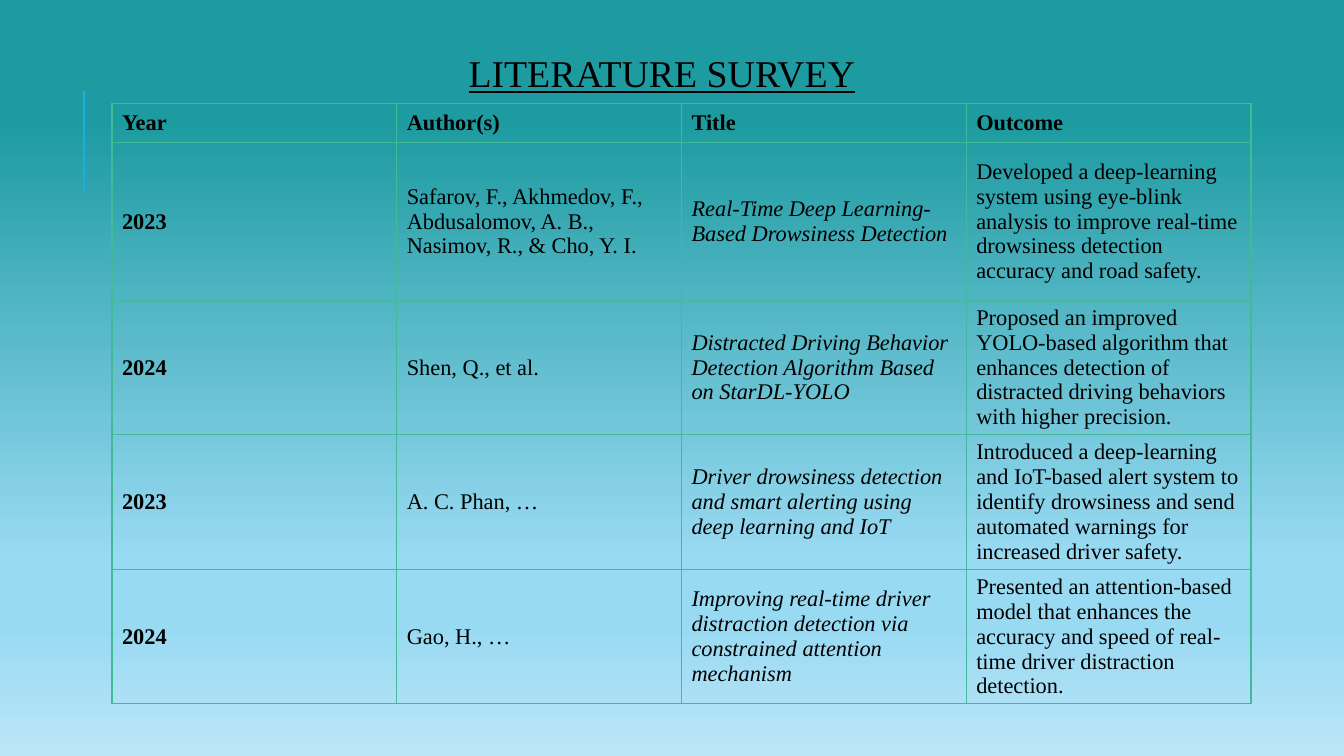
from dataclasses import astuple, dataclass

from lxml.etree import SubElement
from pptx import Presentation
from pptx.dml.color import RGBColor
from pptx.enum.shapes import MSO_CONNECTOR
from pptx.enum.text import MSO_ANCHOR, MSO_AUTO_SIZE, PP_ALIGN
from pptx.oxml.ns import qn
from pptx.slide import Slide
from pptx.table import _Cell as Cell
from pptx.text.text import _Paragraph as Paragraph
from pptx.util import Pt

BLACK = RGBColor(0x00, 0x00, 0x00)
GREEN = RGBColor(0x42, 0xBA, 0x97)
BLUE = RGBColor(0x1C, 0xAD, 0xE4)
TEAL = RGBColor(0x1D, 0x9B, 0xA1)
SKY = RGBColor(0x99, 0xDA, 0xF3)
PALE = RGBColor(0xBB, 0xE6, 0xF7)
FONT = "Times New Roman"


@dataclass(frozen=True)
class Study:
    year: str
    authors: str
    title: str
    outcome: str


@dataclass(frozen=True)
class Stop:
    percent: int
    color: RGBColor


BACKDROP = [Stop(16, TEAL), Stop(74, SKY), Stop(83, SKY), Stop(100, PALE)]
HEADINGS = Study("Year", "Author(s)", "Title", "Outcome")
STUDIES = [
    Study(
        "2023",
        "Safarov, F., Akhmedov, F., Abdusalomov, A. B., Nasimov, R., & Cho, Y. I.",
        "Real-Time Deep Learning-Based Drowsiness Detection",
        "Developed a deep-learning system using eye-blink analysis to improve "
        "real-time drowsiness detection accuracy and road safety.",
    ),
    Study(
        "2024",
        "Shen, Q., et al.",
        "Distracted Driving Behavior Detection Algorithm Based on StarDL-YOLO",
        "Proposed an improved YOLO-based algorithm that enhances detection of "
        "distracted driving behaviors with higher precision.",
    ),
    Study(
        "2023",
        "A. C. Phan, …",
        "Driver drowsiness detection and smart alerting using deep learning and IoT",
        "Introduced a deep-learning and IoT-based alert system to identify "
        "drowsiness and send automated warnings for increased driver safety.",
    ),
    Study(
        "2024",
        "Gao, H., …",
        "Improving real-time driver distraction detection via constrained attention mechanism",
        "Presented an attention-based model that enhances the accuracy and speed "
        "of real-time driver distraction detection.",
    ),
]
COLUMN_WIDTH = 203.4
ROW_HEIGHTS = [28, 112.5, 95.5, 95.5, 95.5]


def write(para: Paragraph, text: str, *, size: float, bold: bool = False,
          italic: bool = False, underline: bool = False,
          align: PP_ALIGN = PP_ALIGN.LEFT) -> None:
    para.alignment = align
    span = para.add_run()
    span.text = text
    font = span.font
    font.name, font.size = FONT, Pt(size)
    font.bold, font.italic, font.underline = bold, italic, underline
    font.color.rgb = BLACK


def paint_background(page: Slide) -> None:
    fill = page.background.fill
    fill.gradient()
    fill.gradient_angle = 270
    stops = next(page.element.iter(qn("a:gsLst")))
    stops.clear()
    for stop in BACKDROP:
        node = SubElement(stops, qn("a:gs"), pos=str(stop.percent * 1000))
        SubElement(node, qn("a:srgbClr"), val=str(stop.color))


def add_accent_line(page: Slide) -> None:
    line = page.shapes.add_connector(
        MSO_CONNECTOR.STRAIGHT, Pt(60), Pt(136.8), Pt(60), Pt(64.8))
    line.line.color.rgb = BLUE
    line.line.width = Pt(1.5)
    SubElement(line.element.spPr, qn("a:effectLst"))


def place_title(page: Slide) -> None:
    title = page.shapes.title
    title.left, title.top, title.width, title.height = Pt(90), Pt(22), Pt(765.4), Pt(60)
    frame = title.text_frame
    frame.word_wrap = True
    frame.auto_size = MSO_AUTO_SIZE.NONE
    frame.vertical_anchor = MSO_ANCHOR.MIDDLE
    write(frame.paragraphs[0], "LITERATURE SURVEY", size=27, underline=True,
          align=PP_ALIGN.CENTER)


def outline(cell: Cell) -> None:
    """Draw the four borders of a cell and leave its inside clear."""
    properties = cell._tc.get_or_add_tcPr()
    for side in ("lnL", "lnR", "lnT", "lnB"):
        border = SubElement(properties, qn(f"a:{side}"), w=str(Pt(1)))
        solid = SubElement(border, qn("a:solidFill"))
        SubElement(solid, qn("a:srgbClr"), val=str(GREEN))
    cell.fill.background()


def add_survey_table(page: Slide) -> None:
    records = [astuple(study) for study in (HEADINGS, *STUDIES)]
    columns = len(records[0])
    table = page.shapes.add_table(
        len(records), columns, Pt(80), Pt(74),
        Pt(COLUMN_WIDTH * columns), Pt(sum(ROW_HEIGHTS))).table
    table.first_row = table.horz_banding = False
    for column in table.columns:
        column.width = Pt(COLUMN_WIDTH)
    for row, height in zip(table.rows, ROW_HEIGHTS):
        row.height = Pt(height)
    for r, record in enumerate(records):
        for c, text in enumerate(record):
            cell = table.cell(r, c)
            outline(cell)
            cell.vertical_anchor = MSO_ANCHOR.MIDDLE
            write(cell.text_frame.paragraphs[0], text, size=16,
                  bold=r == 0 or c == 0, italic=r > 0 and c == 2)


def main() -> None:
    deck = Presentation()
    deck.slide_width, deck.slide_height = Pt(960), Pt(540)
    page = deck.slides.add_slide(deck.slide_layouts.get_by_name("Title Only"))
    paint_background(page)
    add_accent_line(page)
    place_title(page)
    add_survey_table(page)
    deck.save("out.pptx")


if __name__ == "__main__":
    main()
